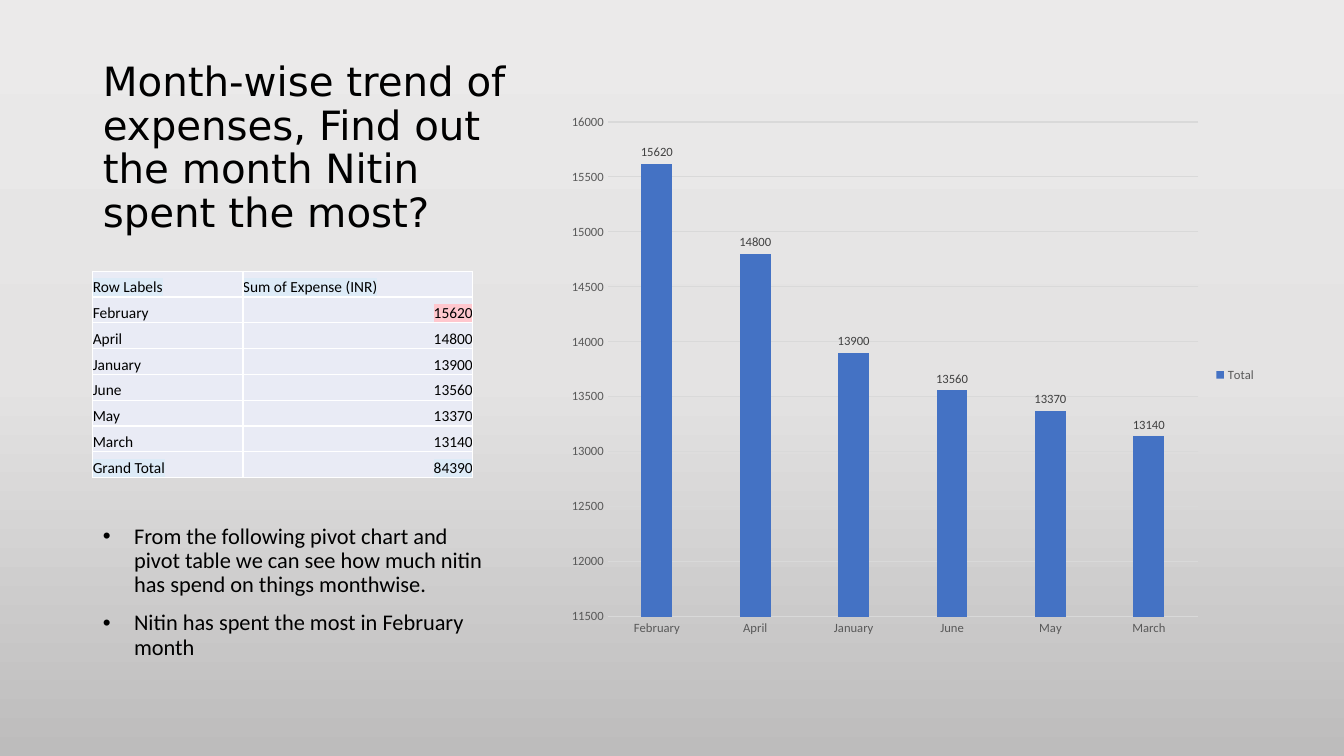
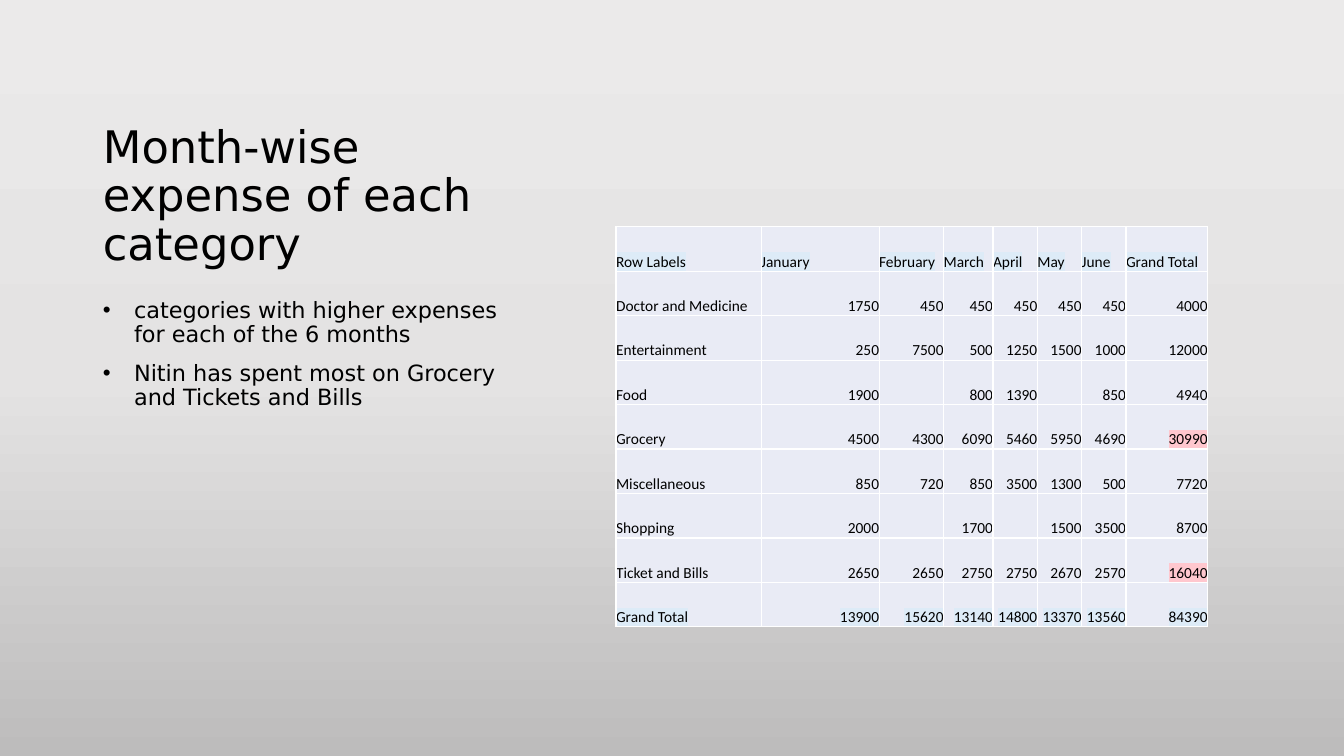
from copy import deepcopy

from lxml.etree import SubElement
from pptx import Presentation
from pptx.chart.data import CategoryChartData
from pptx.dml.color import RGBColor
from pptx.enum.chart import XL_CHART_TYPE, XL_LABEL_POSITION, XL_LEGEND_POSITION, XL_TICK_MARK
from pptx.enum.text import MSO_ANCHOR, MSO_AUTO_SIZE, PP_ALIGN
from pptx.oxml.ns import qn
from pptx.util import Inches, Pt

BLACK, WHITE, BLUE = "000000", "FFFFFF", "4472C4"
GRID, AXIS_TEXT, LABEL_TEXT = "D9D9D9", "595959", "404040"
CELL, HEADING_MARK, PEAK_MARK = "E9EBF5", "DDEBF7", "FFC7CE"
BACKGROUND = [(0, "EBEAEA"), (0.5, "E4E3E3"), (1, "BDBCBC")]
PLAIN, DISPLAY = "Calibri", "DejaVu Sans"
LEFT = 0.92

MONTHLY_TOTALS = [
    ("February", 15620), ("April", 14800), ("January", 13900),
    ("June", 13560), ("May", 13370), ("March", 13140),
]
MONTH_ROWS = [("Row Labels", "Sum of Expense (INR)"), *MONTHLY_TOTALS, ("Grand Total", 84390)]
CATEGORY_ROWS = [
    ("Row Labels", "January", "February", "March", "April", "May", "June", "Grand Total"),
    ("Doctor and Medicine", 1750, 450, 450, 450, 450, 450, 4000),
    ("Entertainment", 250, 7500, 500, 1250, 1500, 1000, 12000),
    ("Food", 1900, "", 800, 1390, "", 850, 4940),
    ("Grocery", 4500, 4300, 6090, 5460, 5950, 4690, 30990),
    ("Miscellaneous", 850, 720, 850, 3500, 1300, 500, 7720),
    ("Shopping", 2000, "", 1700, "", 1500, 3500, 8700),
    ("Ticket and Bills", 2650, 2650, 2750, 2750, 2670, 2570, 16040),
    ("Grand Total", 13900, 15620, 13140, 14800, 13370, 13560, 84390),
]


def color(value):
    return RGBColor.from_string(value)


def set_font(font, size, fill=BLACK, name=PLAIN):
    font.size, font.name = Pt(size), name
    font.color.rgb = color(fill)


def write(para, text, size=11, name=PLAIN, fill=BLACK, align=PP_ALIGN.LEFT, highlight=None):
    para.alignment = align
    span = para.add_run()
    span.text = text
    set_font(span.font, size, fill, name)
    if highlight:
        properties = span.font._element
        mark = SubElement(properties, qn("a:highlight"))
        SubElement(mark, qn("a:srgbClr"), val=highlight)
        properties.find(qn("a:solidFill")).addnext(mark)


def place(box, left, top, width, height):
    box.left, box.top = Inches(left), Inches(top)
    box.width, box.height = Inches(width), Inches(height)


def border(cell, line_color=WHITE, width=1):
    properties = cell._tc.get_or_add_tcPr()
    for index, side in enumerate("LRTB"):
        line = SubElement(properties, qn(f"a:ln{side}"), w=str(Pt(width)))
        fill = SubElement(line, qn("a:solidFill"))
        SubElement(fill, qn("a:srgbClr"), val=line_color)
        properties.insert(index, line)


class ExpenseDeck:
    def __init__(self):
        self.deck = Presentation()
        self.deck.slide_width, self.deck.slide_height = Inches(13.33), Inches(7.5)
        self.page = None
        self.paint_background()

    def paint_background(self):
        """Give the master, and so every slide, a three-stop vertical gradient."""
        master = self.deck.slide_master
        fill = master.background.fill
        fill.gradient()
        fill.gradient_angle = 270
        stops = master.element.find(".//" + qn("a:gsLst"))
        stops.append(deepcopy(stops[-1]))
        for stop, (position, shade) in zip(fill.gradient_stops, BACKGROUND):
            stop.position = position
            stop.color.rgb = color(shade)

    def add_page(self):
        self.page = self.deck.slides.add_slide(self.deck.slide_layouts[1])

    def title(self, text, top, height, size, bottom_margin=0.05):
        box = self.page.shapes.title
        place(box, LEFT, top, 4.3, height)
        frame = box.text_frame
        frame.auto_size = MSO_AUTO_SIZE.NONE
        frame.vertical_anchor = MSO_ANCHOR.BOTTOM
        frame.margin_bottom = Inches(bottom_margin)
        para = frame.paragraphs[0]
        para.line_spacing = 0.9
        write(para, text, size=size, name=DISPLAY)

    def bullets(self, items, top, width, height, name):
        box = self.page.placeholders[1]
        place(box, LEFT, top, width, height)
        frame = box.text_frame
        frame.auto_size = MSO_AUTO_SIZE.NONE
        indent = Inches(0.31)
        for index, item in enumerate(items):
            para = frame.add_paragraph() if index else frame.paragraphs[0]
            para.line_spacing, para.space_before = 0.9, Pt(10)
            properties = para._p.get_or_add_pPr()
            properties.set("marL", str(indent))
            properties.set("indent", str(-indent))
            write(para, item, size=16, name=name)

    def table(self, rows, left, top, widths, height, peaks):
        """Draw a pivot table; peaks are the values marked outside its heading and total rows."""
        frame = self.page.shapes.add_table(
            len(rows), len(widths), Inches(left), Inches(top), Inches(sum(widths)), Inches(height))
        table = frame.table
        table.first_row = table.horz_banding = False
        for column, width in zip(table.columns, widths):
            column.width = Inches(width)
        for row_index, values in enumerate(rows):
            table.rows[row_index].height = Inches(height / len(rows))
            is_outer = row_index in (0, len(rows) - 1)
            for column_index, value in enumerate(values):
                mark = HEADING_MARK if is_outer else PEAK_MARK if value in peaks else None
                self.fill_cell(table.cell(row_index, column_index), value, mark)

    def fill_cell(self, cell, value, highlight):
        cell.fill.solid()
        cell.fill.fore_color.rgb = color(CELL)
        cell.vertical_anchor = MSO_ANCHOR.BOTTOM
        cell.margin_left = cell.margin_right = cell.margin_top = cell.margin_bottom = 0
        border(cell)
        if value != "":
            align = PP_ALIGN.RIGHT if isinstance(value, int) else PP_ALIGN.LEFT
            write(cell.text_frame.paragraphs[0], str(value), align=align, highlight=highlight)

    def column_chart(self, name, points, left, top, width, height, scale):
        """Draw one series of columns; scale is minimum, maximum and step."""
        data = CategoryChartData()
        data.categories = [label for label, _ in points]
        data.add_series(name, [value for _, value in points])
        chart = self.page.shapes.add_chart(
            XL_CHART_TYPE.COLUMN_CLUSTERED,
            Inches(left), Inches(top), Inches(width), Inches(height), data).chart
        chart.has_title = False
        set_font(chart.font, 10)
        chart.has_legend = True
        chart.legend.position = XL_LEGEND_POSITION.RIGHT
        chart.legend.include_in_layout = False
        set_font(chart.legend.font, 9, AXIS_TEXT)

        category_axis, value_axis = chart.category_axis, chart.value_axis
        value_axis.minimum_scale, value_axis.maximum_scale, value_axis.major_unit = scale
        for axis in (category_axis, value_axis):
            axis.major_tick_mark = axis.minor_tick_mark = XL_TICK_MARK.NONE
            set_font(axis.tick_labels.font, 9, AXIS_TEXT)
        value_axis.format.line.fill.background()
        for line in (category_axis.format.line, value_axis.major_gridlines.format.line):
            line.color.rgb = color(GRID)
            line.width = Pt(0.75)

        plot = chart.plots[0]
        plot.vary_by_categories = False
        plot.gap_width, plot.overlap = 219, -27
        series = plot.series[0]
        series.format.fill.solid()
        series.format.fill.fore_color.rgb = color(BLUE)
        labels = series.data_labels
        labels.show_value = True
        labels.position = XL_LABEL_POSITION.OUTSIDE_END
        set_font(labels.font, 9, LABEL_TEXT)


def main():
    show = ExpenseDeck()

    show.add_page()
    show.title("Month-wise trend of expenses, Find out the month Nitin spent the most?",
               top=0.51, height=2.3, size=28.8, bottom_margin=0.47)
    show.bullets([
        "From the following pivot chart and pivot table we can see how much nitin "
        "has spend on things monthwise.",
        "Nitin has spent the most in February month",
    ], top=5.16, width=4.08, height=1.76, name=PLAIN)
    show.column_chart("Total", MONTHLY_TOTALS, 5.53, 1.03, 7.03, 5.38, scale=(11500, 16000, 500))
    show.table(MONTH_ROWS, LEFT, 2.69, [1.49, 2.28], 2.05, peaks={15620})

    show.add_page()
    show.title("Month-wise expense of each category", top=0.98, height=1.75, size=32)
    show.table(CATEGORY_ROWS, 6.11, 2.25, [1.44, 1.17, 0.64, 0.49, 0.44, 0.44, 0.44, 0.81], 3.97,
               peaks={30990, 16040})
    show.bullets([
        "categories with higher expenses for each of the 6 months",
        "Nitin has spent most on Grocery and Tickets and Bills",
    ], top=2.92, width=4.3, height=4.17, name=DISPLAY)

    show.deck.save("out.pptx")


if __name__ == "__main__":
    main()
